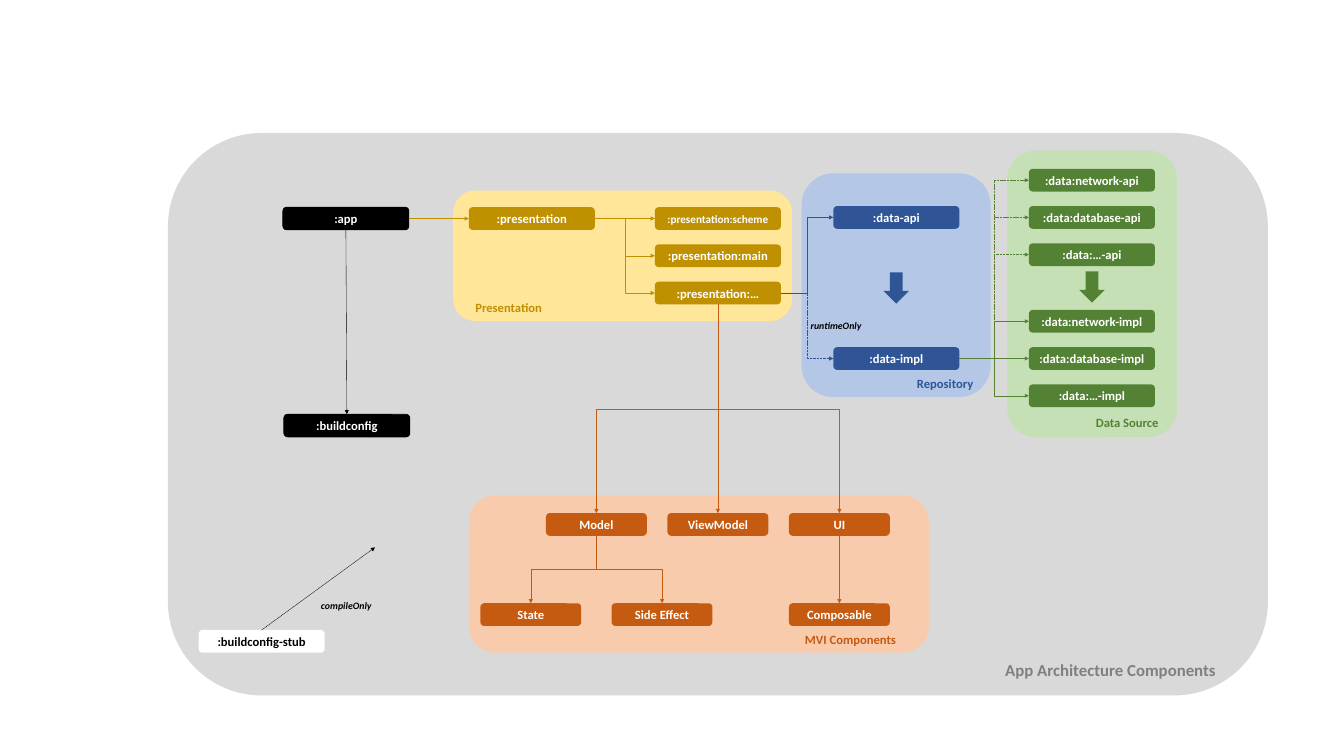
from dataclasses import dataclass
from typing import Optional

from lxml.etree import SubElement
from pptx import Presentation
from pptx.dml.color import RGBColor
from pptx.enum.dml import MSO_LINE
from pptx.enum.shapes import MSO_CONNECTOR as Link, MSO_SHAPE as Preset
from pptx.enum.text import MSO_ANCHOR, MSO_AUTO_SIZE, PP_ALIGN
from pptx.oxml.ns import qn
from pptx.util import Pt

COLORS = {
    "black": "000000", "white": "FFFFFF", "grey": "D9D9D9", "grey text": "808080",
    "gold": "BF9000", "gold pale": "FFE699", "orange": "C55A11", "orange pale": "F8CBAD",
    "green": "548235", "green pale": "C5E0B4", "blue": "2F5597", "blue pale": "B4C7E7",
}
MODULE_W, MVI_W, BOX_H = 180, 144, 32.4
ROW_STEP, MVI_STEP = 53.2, 173.5
TOP, LEFT, BOTTOM, RIGHT = range(4)  # connection sites of a rounded box


@dataclass
class Block:
    """A filled preset shape, with or without text."""
    left: float
    top: float
    width: float
    height: float
    fill: str
    text: str = ""
    size: float = 18
    ink: str = "white"
    preset: Preset = Preset.ROUNDED_RECTANGLE
    rotation: float = 0
    outline: Optional[str] = None


@dataclass
class Label:
    left: float
    top: float
    width: float
    height: float
    text: str
    ink: str
    size: float = 18
    italic: bool = False


@dataclass
class Arrow:
    source: str
    target: str
    color: str
    down: bool = False
    dotted: bool = False
    kind: Link = Link.ELBOW


def rgb(name: str) -> RGBColor:
    return RGBColor.from_string(COLORS[name])


def write(frame, text: str, ink: str, size: float, italic: bool = False):
    para = frame.paragraphs[0]
    span = para.add_run()
    span.text = text
    style = {"name": "Calibri", "size": Pt(size), "bold": True, "italic": italic}
    for key, value in style.items():
        setattr(span.font, key, value)
    span.font.color.rgb = rgb(ink)
    return para


def draw_block(page, block: Block):
    box = page.shapes.add_shape(
        block.preset, Pt(block.left), Pt(block.top), Pt(block.width), Pt(block.height))
    box.shadow.inherit = False
    box.rotation = block.rotation
    box.fill.solid()
    box.fill.fore_color.rgb = rgb(block.fill)
    if block.outline:
        box.line.color.rgb = rgb(block.outline)
        box.line.width = Pt(1)
    else:
        box.line.fill.background()
    if block.text:
        box.text_frame.vertical_anchor = MSO_ANCHOR.MIDDLE
        para = write(box.text_frame, block.text, block.ink, block.size)
        para.alignment = PP_ALIGN.CENTER
    return box


def draw_label(page, label: Label) -> None:
    box = page.shapes.add_textbox(
        Pt(label.left), Pt(label.top), Pt(label.width), Pt(label.height))
    frame = box.text_frame
    settings = {"word_wrap": not label.italic, "auto_size": MSO_AUTO_SIZE.SHAPE_TO_FIT_TEXT}
    for key, value in settings.items():
        setattr(frame, key, value)
    write(frame, label.text, label.ink, label.size, label.italic)


def style_line(line, color: str, dotted: bool) -> None:
    line.line.color.rgb = rgb(color)
    line.line.width = Pt(0.5)
    if dotted:
        line.line.dash_style = MSO_LINE.SQUARE_DOT
    properties = line._element.spPr
    SubElement(properties.find(qn("a:ln")), qn("a:tailEnd"), type="triangle")
    SubElement(properties, qn("a:effectLst"))


def draw_arrow(page, arrow: Arrow, boxes: dict) -> None:
    line = page.shapes.add_connector(arrow.kind, 0, 0, 0, 0)
    line.begin_connect(boxes[arrow.source], BOTTOM if arrow.down else RIGHT)
    line.end_connect(boxes[arrow.target], TOP if arrow.down else LEFT)
    if arrow.down and arrow.kind == Link.ELBOW:
        # Lay the elbow on its side around its centre, then turn it downwards
        mid_x, mid_y = (line.begin_x + line.end_x) // 2, (line.begin_y + line.end_y) // 2
        half_x, half_y = (line.end_x - line.begin_x) // 2, (line.end_y - line.begin_y) // 2
        ends = {"begin_x": mid_x - half_y, "begin_y": mid_y + half_x,
                "end_x": mid_x + half_y, "end_y": mid_y - half_x}
        for key, value in ends.items():
            setattr(line, key, value)
        line.rotation = 90
    style_line(line, arrow.color, arrow.dotted)


def module(text: str, left: float, top: float, fill: str, **extra) -> Block:
    return Block(left, top, MODULE_W, BOX_H, fill, text, **extra)


def part(text: str, column: float, top: float) -> Block:
    return Block(779.8 + column * MVI_STEP, top, MVI_W, BOX_H, "orange", text)


PANELS = [
    Block(239.8, 190, 1571, 803.5, "grey"),
    Block(647.3, 272.2, 483.8, 186.5, "gold pale"),
    Block(669.6, 707.8, 657, 224.6, "orange pale"),
    Block(1438.6, 215.3, 242.6, 409, "green pale"),
    Block(1144.8, 247.7, 270, 319.7, "blue pale"),
]
SCREENS = [":presentation:scheme", ":presentation:main", ":presentation:…"]
SOURCES = [":data:network", ":data:database", ":data:…"]
APIS = [name + "-api" for name in SOURCES]
IMPLS = [name + "-impl" for name in SOURCES]
MVI_PARTS = ["Model", "ViewModel", "UI"]

BLOCKS = [
    module(":app", 404, 296, "black", outline="black"),
    module(":buildconfig", 405.4, 591.8, "black", outline="black"),
    module(":buildconfig-stub", 283.7, 900, "white", ink="black"),
    module(":presentation", 669.6, 296, "gold"),
    module(":data-api", 1190.2, 294.4, "blue"),
    module(":data-impl", 1190.2, 496, "blue"),
    *(module(name, 935.3, 296 + row * ROW_STEP, "gold", size=18 if row else 16)
      for row, name in enumerate(SCREENS)),
    *(module(name, 1469.5, first + row * ROW_STEP, "green")
      for first, names in ((241.2, APIS), (442.8, IMPLS))
      for row, name in enumerate(names)),
    *(part(name, column, 733) for column, name in enumerate(MVI_PARTS)),
    part("State", -0.54, 861.8),
    part("Side Effect", 0.54, 861.8),
    part("Composable", 2, 861.8),
]
FAT_ARROWS = [
    Block(left, top, 44.6, 36.7, fill, preset=Preset.RIGHT_ARROW, rotation=90)
    for left, top, fill in ((1257.8, 393.1, "blue"), (1537.2, 391.7, "green"))
]
ARROWS = [
    Arrow(":app", ":presentation", "gold"),
    Arrow(":app", ":buildconfig", "black", down=True, kind=Link.STRAIGHT),
    *(Arrow(":presentation", name, "gold") for name in SCREENS),
    Arrow(SCREENS[-1], ":data-api", "blue"),
    Arrow(SCREENS[-1], ":data-impl", "blue", dotted=True),
    *(Arrow(":data-impl", name, "green", dotted=True) for name in APIS),
    *(Arrow(":data-impl", name, "green") for name in IMPLS),
    *(Arrow(SCREENS[-1], name, "orange", down=True) for name in MVI_PARTS),
    *(Arrow("Model", name, "orange", down=True) for name in ("State", "Side Effect")),
    Arrow("UI", "Composable", "orange", down=True),
]
LABELS = [
    Label(1428.5, 938.9, 316.8, 36, "App Architecture Components", "grey text", 24),
    Label(671.8, 424.8, 115.2, 28.8, "Presentation", "gold"),
    Label(1302.5, 533.5, 99.4, 28.8, "Repository", "blue"),
    Label(1558.1, 589, 112.3, 28.8, "Data Source", "green"),
    Label(1142.6, 898.6, 149, 28.8, "MVI Components", "orange"),
    Label(451.4, 853.2, 93.6, 24.5, "compileOnly", "black", 14, italic=True),
    Label(1150.6, 453.6, 93.6, 24.5, "runtimeOnly", "black", 14, italic=True),
]


def main() -> None:
    deck = Presentation()
    deck.slide_width, deck.slide_height = Pt(1919.52), Pt(1080)
    page = deck.slides.add_slide(deck.slide_layouts[6])

    # Panels, modules and the block arrows
    for panel in PANELS:
        draw_block(page, panel)
    boxes = {block.text: draw_block(page, block) for block in BLOCKS}
    for block in FAT_ARROWS:
        draw_block(page, block)

    # Dependencies between modules
    for arrow in ARROWS:
        draw_arrow(page, arrow, boxes)

    # The compile-time arrow ends in open space
    loose = page.shapes.add_connector(Link.STRAIGHT, 0, 0, Pt(535.7), Pt(781.9))
    loose.begin_connect(boxes[":buildconfig-stub"], TOP)
    style_line(loose, "black", dotted=True)

    # Captions
    for label in LABELS:
        draw_label(page, label)
    deck.save("out.pptx")


if __name__ == "__main__":
    main()
